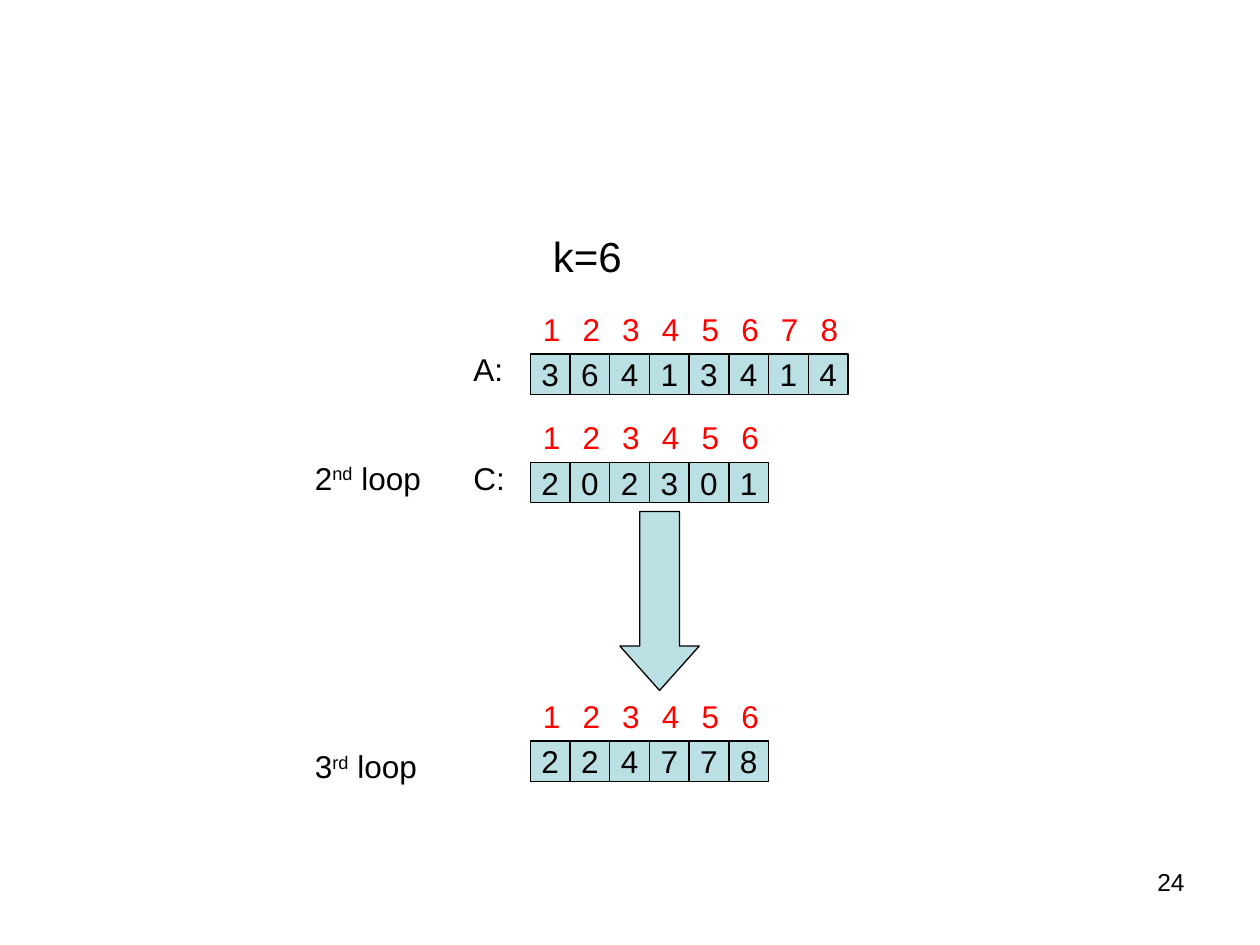
import pptx
import pptx.util
import pptx.dml.color
import pptx.enum.shapes
import pptx.enum.text

Inches, Pt = pptx.util.Inches, pptx.util.Pt
Shape = pptx.enum.shapes.MSO_SHAPE
Align = pptx.enum.text.PP_ALIGN
Anchor = pptx.enum.text.MSO_ANCHOR

COLORS = {"cell": "BBE0E3", "ink": "000000", "index": "FF0000"}

# cell values, top of the cells
ARRAYS = [
    ([3, 6, 4, 1, 3, 4, 1, 4], 2.81),
    ([2, 0, 2, 3, 0, 1], 3.67),
    ([2, 2, 4, 7, 7, 8], 5.88),
]
# (text, raised) runs; left, top, width, height; size; alignment
LABELS = [
    ([("k=6", False)], (4.29, 1.78, 4.02, 0.5), 24, Align.LEFT),
    ([("A:", False)], (3.66, 2.73, 0.47, 0.4), 18, Align.LEFT),
    ([("C:", False)], (3.66, 3.59, 0.47, 0.4), 18, Align.LEFT),
    ([("2", False), ("nd", True), (" loop", False)],
     (2.4, 3.59, 1.42, 0.4), 18, Align.LEFT),
    ([("3", False), ("rd", True), (" loop", False)],
     (2.4, 5.88, 1.42, 0.4), 18, Align.LEFT),
    ([("24", False)], (7.17, 6.83, 2.33, 0.52), 14, Align.RIGHT),
]
ARROW = (4.92, 4.06, 0.63, 1.42)
LEFT, PITCH = 4.21, 0.315
CELL_H, INDEX_H = 0.32, 0.4


def color(name):
    return pptx.dml.color.RGBColor.from_string(COLORS[name])


def write(frame, runs, size, align, ink="ink"):
    para = frame.paragraphs[0]
    para.alignment = align
    for text, raised in runs:
        run = para.add_run()
        run.text = text
        run.font.name = "Arial"
        run.font.size = Pt(size)
        run.font.color.rgb = color(ink)
        if raised:
            run.font._element.set("baseline", "30000")


def add_label(slide, runs, box, size, align, ink="ink"):
    frame = slide.shapes.add_textbox(*map(Inches, box)).text_frame
    frame.word_wrap = True
    write(frame, runs, size, align, ink)


def add_block(slide, kind, box):
    """Add a filled, outlined shape without a shadow."""
    block = slide.shapes.add_shape(kind, *map(Inches, box))
    block.shadow.inherit = False
    block.fill.solid()
    block.fill.fore_color.rgb = color("cell")
    block.line.color.rgb = color("ink")
    block.line.width = Pt(0.75)
    return block


def add_array(slide, values, top):
    """Add a row of cells with 1-based indexes above it."""
    for i, value in enumerate(values):
        left = LEFT + i * PITCH
        cell = add_block(slide, Shape.RECTANGLE, (left, top, PITCH, CELL_H))
        frame = cell.text_frame
        frame.word_wrap = False
        frame.vertical_anchor = Anchor.MIDDLE
        write(frame, [(str(value), False)], 18, Align.CENTER)
        add_label(slide, [(str(i + 1), False)],
                  (left, top - INDEX_H, PITCH, INDEX_H), 18, Align.LEFT, "index")


def main():
    deck = pptx.Presentation()
    deck.slide_width, deck.slide_height = Inches(10), Inches(7.5)
    slide = deck.slides.add_slide(deck.slide_layouts[6])
    for values, top in ARRAYS:
        add_array(slide, values, top)
    for label in LABELS:
        add_label(slide, *label)
    arrow = add_block(slide, Shape.DOWN_ARROW, ARROW)
    arrow.adjustments[0] = 0.5
    arrow.adjustments[1] = 0.56
    deck.save("out.pptx")


if __name__ == "__main__":
    main()
